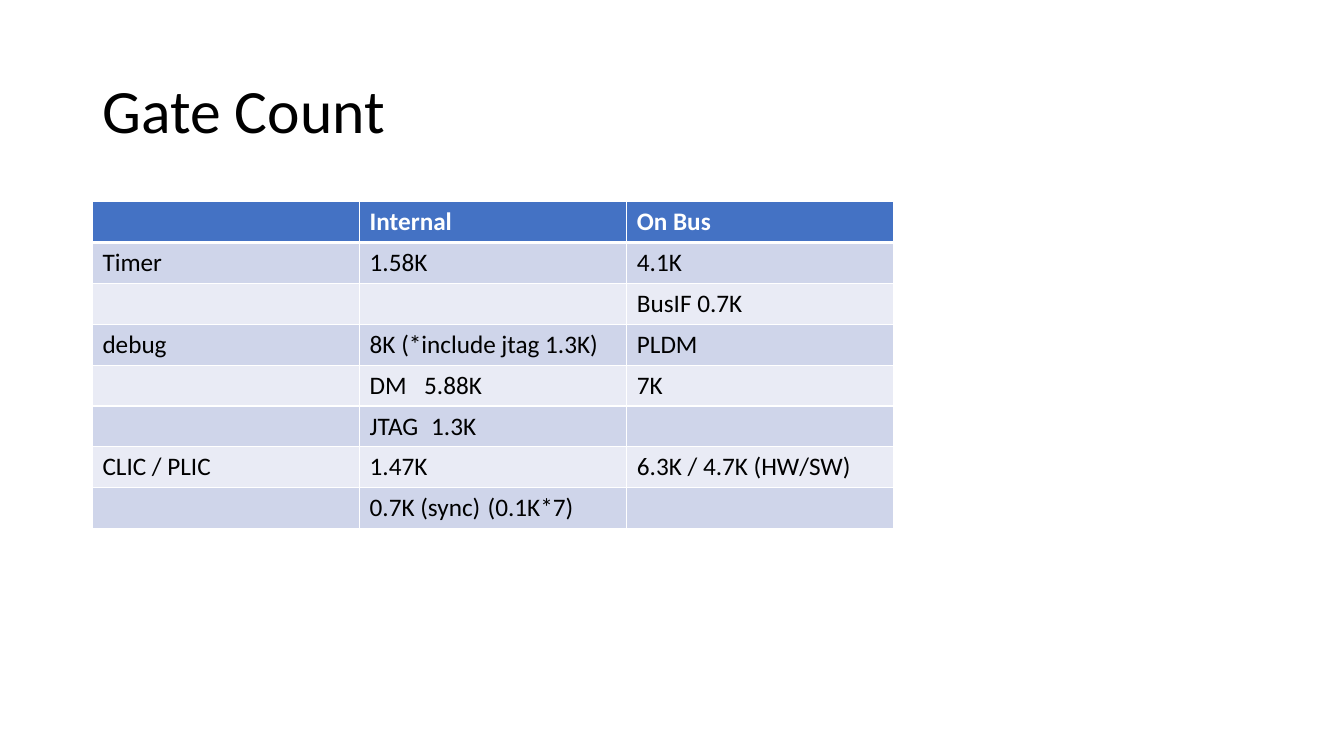
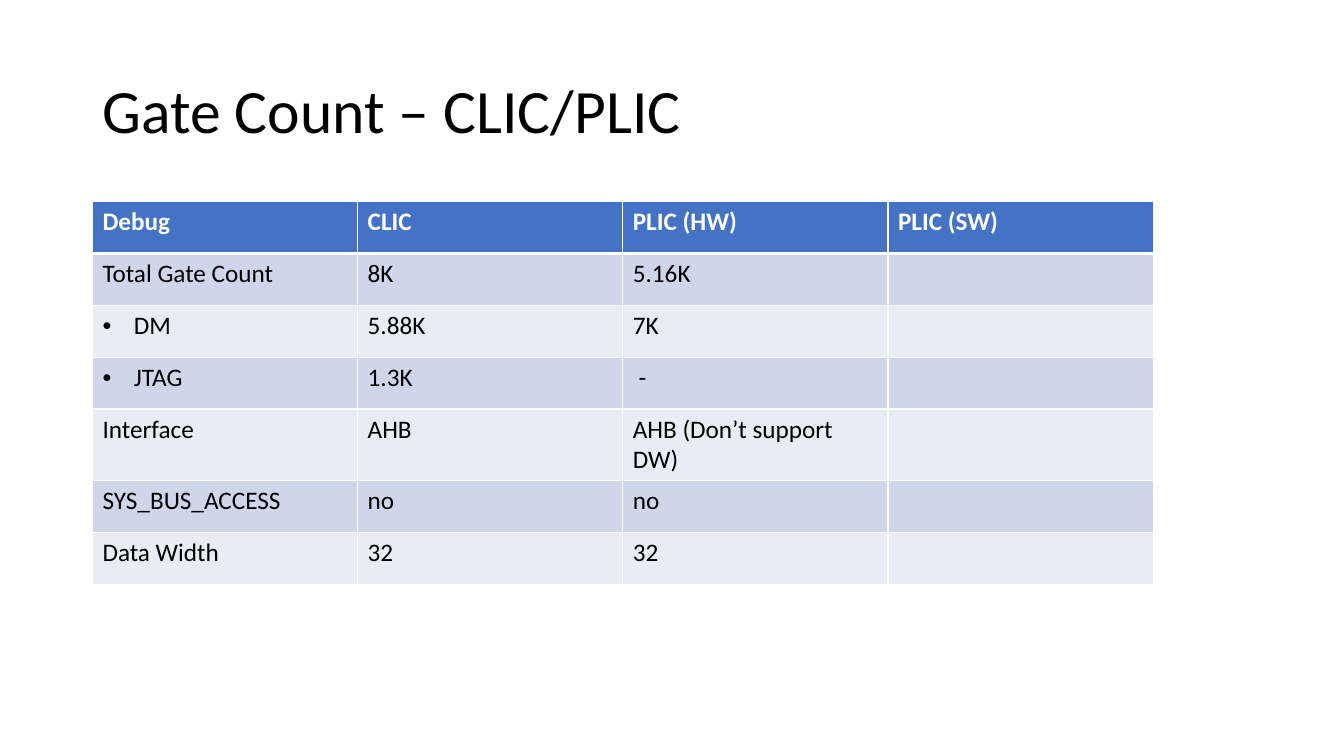
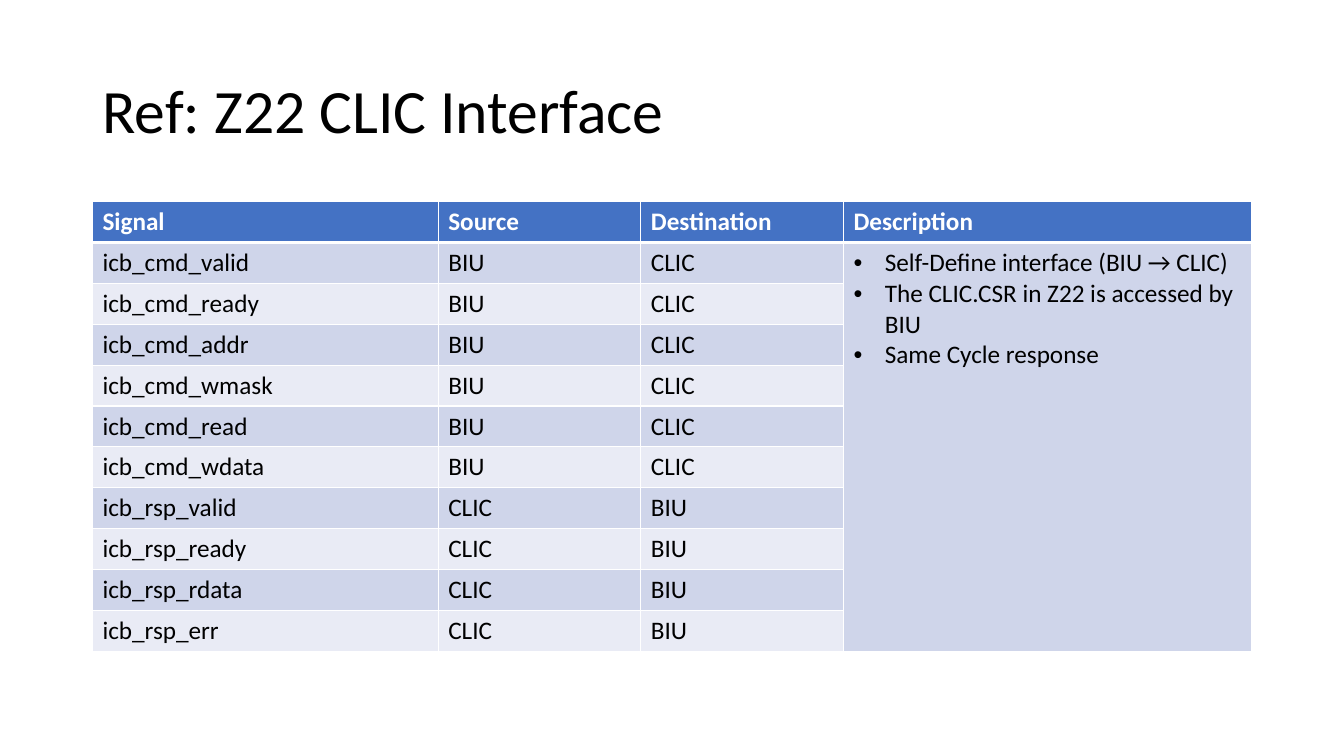
from lxml import etree
from pptx import Presentation
from pptx.dml.color import RGBColor
from pptx.enum.text import MSO_ANCHOR, PP_ALIGN
from pptx.oxml.ns import qn
from pptx.util import Inches, Pt

LEFT, MIDDLE = PP_ALIGN.LEFT, MSO_ANCHOR.MIDDLE


class Theme:
    face = "Calibri"
    big, body = Pt(44), Pt(18)
    ink, white = RGBColor.from_string("000000"), RGBColor.from_string("FFFFFF")
    head = RGBColor.from_string("4472C4")
    bands = RGBColor.from_string("CFD5EA"), RGBColor.from_string("E9EBF5")
    thin, thick = Pt(1), Pt(3)
    hang = Inches(0.31)


deck = Presentation()
deck.slide_width, deck.slide_height = Inches(13.33), Inches(7.5)


# Percent of the slide's width and height
def wide(share):
    return round(deck.slide_width * share / 100)


def high(share):
    return round(deck.slide_height * share / 100)


# Tab stops for cells with a second part, by first part
stops = {"DM": Inches(0.54), "JTAG": Inches(0.61), "0.7K (sync)": Inches(1.17)}

signals = ["cmd_valid", "cmd_ready", "cmd_addr", "cmd_wmask", "cmd_read",
           "cmd_wdata", "rsp_valid", "rsp_ready", "rsp_rdata", "rsp_err"]
ends = {"cmd": ["BIU", "CLIC"], "rsp": ["CLIC", "BIU"]}
notes = ("• Self-Define interface (BIU → CLIC)\n"
         "• The CLIC.CSR in Z22 is accessed by BIU\n"
         "• Same Cycle response")

# Title, column shares, row share, rows, column merged below the head
pages = [
    ("Gate Count", [19.88] * 3, 5.4, [
        ["", "Internal", "On Bus"],
        ["Timer", "1.58K", "4.1K"],
        ["", "", "BusIF 0.7K"],
        ["debug", "8K (*include jtag 1.3K)", "PLDM"],
        ["", "DM\t5.88K", "7K"],
        ["", "JTAG\t1.3K", ""],
        ["CLIC / PLIC", "1.47K", "6.3K / 4.7K (HW/SW)"],
        ["", "0.7K (sync)\t(0.1K*7)", ""],
    ], None),
    ("Gate Count – CLIC/PLIC", [19.73] * 4, 6.86, [
        ["Debug", "CLIC", "PLIC (HW)", "PLIC (SW)"],
        ["Total Gate Count", "8K", "5.16K", ""],
        ["• DM", "5.88K", "7K", ""],
        ["• JTAG", "1.3K", " -", ""],
        ["Interface", "AHB", "AHB (Don’t support DW)", ""],
        ["SYS_BUS_ACCESS", "no", "no", ""],
        ["Data Width", "32", "32", ""],
    ], None),
    ("Ref: Z22 CLIC Interface", [25.73, 15.08, 15.08, 30.37], 5.4,
     [["Signal", "Source", "Destination", "Description"]]
     + [["icb_" + name, *ends[name[:3]], "" if i else notes]
        for i, name in enumerate(signals)], 3),
]

for name, cols, step, rows, span in pages:
    slide = deck.slides.add_slide(deck.slide_layouts[5])

    # Title
    title = slide.shapes.title
    title.left, title.top = wide(6.88), high(5.33)
    title.width, title.height = wide(86.25), high(19.33)
    title.text_frame.text = name
    title.text_frame.vertical_anchor = MIDDLE
    para = title.text_frame.paragraphs[0]
    para.alignment, para.line_spacing = LEFT, 0.9
    para.font.name, para.font.size = Theme.face, Theme.big
    para.font.color.rgb = Theme.ink

    # Table grid
    table = slide.shapes.add_table(
        len(rows), len(cols), wide(6.88), high(26.67),
        wide(sum(cols)), high(step * len(rows))).table
    for col, share in zip(table.columns, cols):
        col.width = wide(share)
    for row in table.rows:
        row.height = high(step)

    for r, row in enumerate(rows):
        for c, text in enumerate(row):
            cell = table.cell(r, c)

            # Borders, heavier under the head, then fill
            props = cell._tc.get_or_add_tcPr()
            for side in "LRTB":
                heavy = (r, side) in ((0, "B"), (1, "T"))
                line = etree.SubElement(props, qn("a:ln" + side), w=str(
                    Theme.thick if heavy else Theme.thin))
                fill = etree.SubElement(line, qn("a:solidFill"))
                etree.SubElement(fill, qn("a:srgbClr"), val=str(Theme.white))
            cell.fill.solid()
            cell.fill.fore_color.rgb = Theme.bands[(r - 1) % 2] if r else Theme.head

            # Text, with bullets and tab stops
            cell.text = text.replace("• ", "")
            for part, para in zip(text.split("\n"), cell.text_frame.paragraphs):
                props = para._p.get_or_add_pPr()
                if part.startswith("• "):
                    props.set("marL", str(Theme.hang))
                    props.set("indent", str(-Theme.hang))
                    etree.SubElement(props, qn("a:buFont"), typeface="Arial")
                    etree.SubElement(props, qn("a:buChar"), char="•")
                if "\t" in part:
                    tabs = etree.SubElement(props, qn("a:tabLst"))
                    etree.SubElement(tabs, qn("a:tab"), algn="l",
                                     pos=str(stops[part.split("\t")[0]]))
                font = para.font
                font.name, font.size, font.bold = Theme.face, Theme.body, r == 0
                font.color.rgb = Theme.ink if r else Theme.white

    if span is not None:
        table.cell(1, span).merge(table.cell(len(rows) - 1, span))

deck.save("out.pptx")
